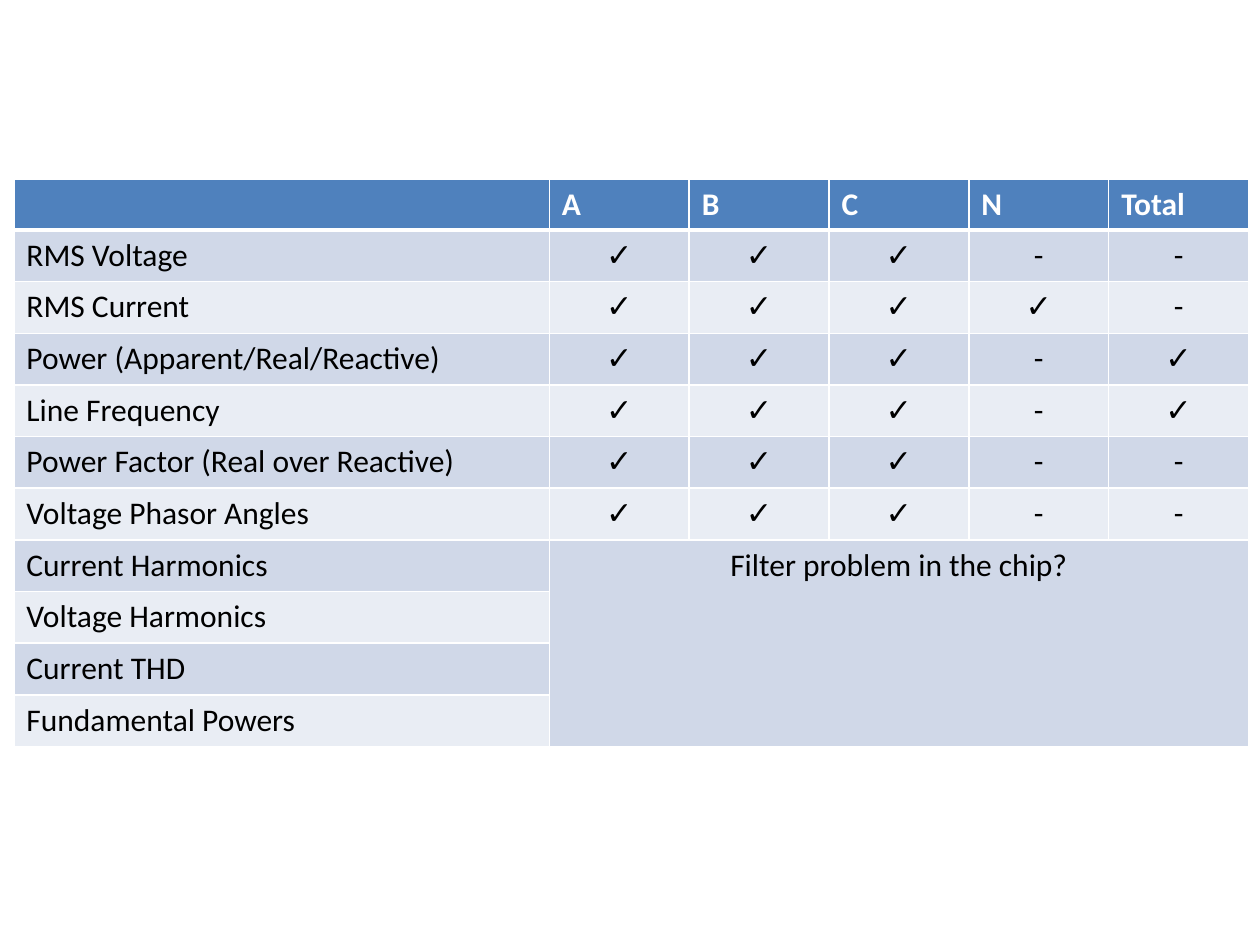
from lxml import etree
from pptx import Presentation
from pptx.dml.color import RGBColor
from pptx.enum import text
from pptx.oxml import ns
from pptx.util import Inches, Pt

WHITE = RGBColor(0xFF, 0xFF, 0xFF)
BLACK = RGBColor(0x00, 0x00, 0x00)
HEADER_BLUE = RGBColor(0x4F, 0x81, 0xBD)
BANDS = (RGBColor(0xE9, 0xED, 0xF4), RGBColor(0xD0, 0xD8, 0xE8))

PHASES = ["", "A", "B", "C", "N", "Total"]
SUPPORT = [
    ("RMS Voltage", "✓✓✓--"),
    ("RMS Current", "✓✓✓✓-"),
    ("Power (Apparent/Real/Reactive)", "✓✓✓-✓"),
    ("Line Frequency", "✓✓✓-✓"),
    ("Power Factor (Real over Reactive)", "✓✓✓--"),
    ("Voltage Phasor Angles", "✓✓✓--"),
]
UNSUPPORTED = ["Current Harmonics", "Voltage Harmonics", "Current THD", "Fundamental Powers"]
PROBLEM = "Filter problem in the chip?"


def add_border(cell, side, points):
    properties = cell._tc.get_or_add_tcPr()
    line = etree.SubElement(properties, ns.qn(f"a:ln{side}"), w=str(Pt(points)))
    fill = etree.SubElement(line, ns.qn("a:solidFill"))
    etree.SubElement(fill, ns.qn("a:srgbClr"), val=str(WHITE))


def style_cell(cell, row):
    widths = {"L": 1, "R": 1, "T": 3 if row == 1 else 1, "B": 3 if row == 0 else 1}
    for side, points in widths.items():
        add_border(cell, side, points)
    cell.fill.solid()
    cell.fill.fore_color.rgb = BANDS[row % 2] if row else HEADER_BLUE


def write_cell(cell, words, row, centred):
    paragraph = cell.text_frame.paragraphs[0]
    paragraph.alignment = text.PP_ALIGN.CENTER if centred else text.PP_ALIGN.LEFT
    if not words:
        return
    run = paragraph.add_run()
    run.text = words
    formats = {"name": "Calibri", "size": Pt(18), "bold": row == 0}
    for name, value in formats.items():
        setattr(run.font, name, value)
    run.font.color.rgb = BLACK if row else WHITE


def add_support_table(slide):
    rows = [PHASES]
    rows += [[measure, *marks] for measure, marks in SUPPORT]
    rows += [[measure, "", "", "", "", ""] for measure in UNSUPPORTED]
    first_unsupported = len(SUPPORT) + 1
    rows[first_unsupported][1] = PROBLEM

    table = slide.shapes.add_table(
        len(rows), len(PHASES), Inches(0.11), Inches(1.42), Inches(9.8), Inches(4.46)
    ).table
    for index, column in enumerate(table.columns):
        column.width = Inches(1.11 if index else 4.25)
    for index, row in enumerate(table.rows):
        row.height = Inches(0.41 if index else 0.4)

    for row, values in enumerate(rows):
        for column, words in enumerate(values):
            cell = table.cell(row, column)
            style_cell(cell, row)
            write_cell(cell, words, row, row > 0 and column > 0)
    table.cell(first_unsupported, 1).merge(table.cell(len(rows) - 1, len(PHASES) - 1))


def main():
    deck = Presentation()
    deck.slide_width, deck.slide_height = Inches(10), Inches(7.5)
    slide = deck.slides.add_slide(deck.slide_layouts[6])
    add_support_table(slide)
    deck.save("out.pptx")


if __name__ == "__main__":
    main()
